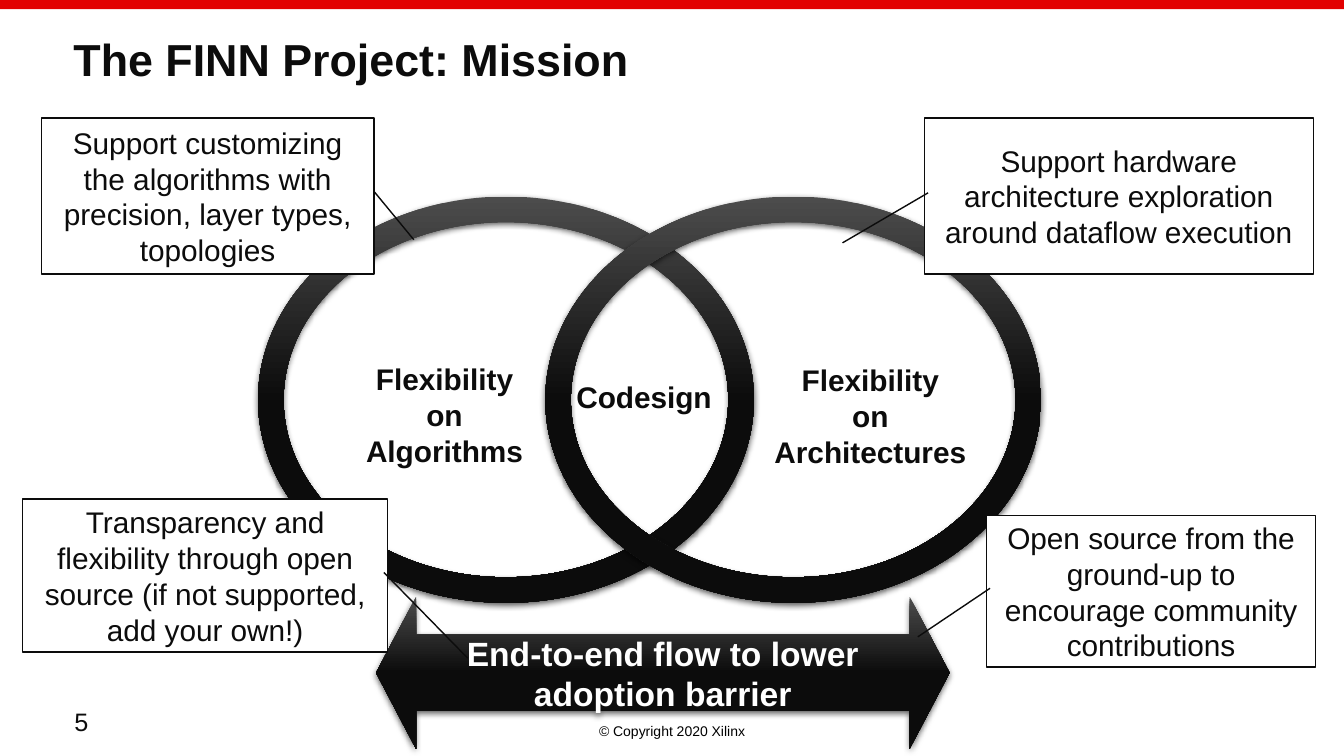
import copy
import dataclasses

import pptx
import pptx.dml.color
import pptx.enum.shapes
import pptx.enum.text
import pptx.oxml
import pptx.oxml.ns
import pptx.util

Pt = pptx.util.Pt
Preset = pptx.enum.shapes.MSO_SHAPE
Align = pptx.enum.text.PP_ALIGN
Anchor = pptx.enum.text.MSO_ANCHOR


@dataclasses.dataclass(frozen=True)
class Theme:
    """Colours, font and type sizes of the slide."""
    font: str = "Arial"
    ink: str = "0C0C0C"
    black: str = "000000"
    paper: str = "FFFFFF"
    accent: str = "E20000"
    gradient: tuple = ((0, "4C4C4C"), (0.5, "0C0C0C"), (1, "0B0B0B"))
    title: float = 32
    banner: float = 24
    body: float = 21.3
    number: float = 18
    footer: float = 10


THEME = Theme()
SHADOW = (
    f'<a:effectLst {pptx.oxml.ns.nsdecls("a")}>'
    '<a:outerShdw blurRad="57150" dist="19050" dir="5400000" algn="ctr" rotWithShape="0">'
    f'<a:srgbClr val="{THEME.black}"><a:alpha val="63000"/></a:srgbClr>'
    '</a:outerShdw></a:effectLst>'
)


def rgb(value):
    """Turn a hex string into a colour."""
    return pptx.dml.color.RGBColor.from_string(value)


def write(owner, lines, size, color=THEME.ink, bold=False, align=Align.CENTER,
          anchor=Anchor.TOP, wrap=True, spacing=None):
    """Write one paragraph per line into a shape."""
    frame = owner.text_frame
    frame.text = "\n".join(lines)
    for key, value in {"word_wrap": wrap, "vertical_anchor": anchor}.items():
        setattr(frame, key, value)
    for paragraph in frame.paragraphs:
        for key, value in {"alignment": align, "line_spacing": spacing}.items():
            setattr(paragraph, key, value)
        font = paragraph.runs[0].font
        for key, value in {"name": THEME.font, "size": Pt(size), "bold": bold}.items():
            setattr(font, key, value)
        font.color.rgb = rgb(color)


def add_text(slide, box, lines, size, **style):
    """Add a text box."""
    write(slide.shapes.add_textbox(*map(Pt, box)), lines, size, **style)


def add_preset(slide, preset, box, fill, adjustments=()):
    """Add a flat preset shape without an outline."""
    shape = slide.shapes.add_shape(preset, *map(Pt, box))
    shape.shadow.inherit = False
    shape.fill.solid()
    shape.fill.fore_color.rgb = rgb(fill)
    shape.line.fill.background()
    for index, value in enumerate(adjustments):
        shape.adjustments[index] = value
    return shape


def add_glossy(slide, preset, box, adjustments):
    """Add a shape with the dark gradient and a soft shadow."""
    glossy = add_preset(slide, preset, box, THEME.ink, adjustments)
    glossy.fill.gradient()
    glossy.fill.gradient_angle = 270
    properties = glossy._element.spPr
    stops = properties.find(".//" + pptx.oxml.ns.qn("a:gsLst"))
    stops.append(copy.deepcopy(stops[-1]))
    for stop, (position, color) in zip(glossy.fill.gradient_stops, THEME.gradient):
        stop.position = position
        stop.color.rgb = rgb(color)
    flat = properties.find(pptx.oxml.ns.qn("a:effectLst"))
    properties.replace(flat, pptx.oxml.parse_xml(SHADOW))
    return glossy


def add_frame(slide, box):
    """Place the top bar, title, page number and copyright line."""
    left, top, width, height = box
    add_preset(slide, Preset.RECTANGLE, (left, top, width, 6.5), THEME.accent)
    add_text(slide, (left, top + 512.6, width, 19.4), ["© Copyright 2020 Xilinx"],
             THEME.footer, color=THEME.black)
    add_text(slide, (left + 45.4, top + 23.8, 869, 77), ["The FINN Project: Mission"],
             THEME.title, bold=True, align=Align.LEFT, spacing=0.9)
    add_text(slide, (left + 46, top + 501, 77, 28.8), ["5"],
             THEME.number, align=Align.LEFT, anchor=Anchor.BOTTOM)


def add_banner(slide, box):
    """Place the double arrow under the rings."""
    banner = add_glossy(slide, Preset.LEFT_RIGHT_ARROW, box, (0.5, 0.263))
    write(banner, ["End-to-end flow to lower adoption barrier"], THEME.banner,
          color=THEME.paper, bold=True, anchor=Anchor.MIDDLE)


def add_venn(slide, box):
    """Place two overlapping rings and their three labels."""
    left, top, width, height = box
    ring_width = 354.2
    for ring_left in (left, left + width - ring_width):
        add_glossy(slide, Preset.DONUT, (ring_left, top, ring_width, height), (0.063,))
    labels = (
        (69.1, 113.8, 128.2, 85, ["Flexibility", "on", "Algorithms"]),
        (219.6, 126.7, 112.3, 33, ["Codesign"]),
        (360.7, 114.5, 153.4, 85, ["Flexibility", "on", "Architectures"]),
    )
    for x, y, label_width, label_height, lines in labels:
        add_text(slide, (left + x, top + y, label_width, label_height), lines,
                 THEME.body, bold=True, wrap=False)


def add_callout(slide, box, pointer, goal):
    """Place a boxed goal whose pointer leads to the part it explains."""
    callout = add_preset(slide, Preset.LINE_CALLOUT_1, box, THEME.paper, pointer)
    callout.line.color.rgb = rgb(THEME.ink)
    callout.line.width = Pt(1)
    write(callout, [goal], THEME.body, anchor=Anchor.MIDDLE)


def main():
    """Build and save the slide."""
    deck = pptx.Presentation()
    deck.slide_width, deck.slide_height = Pt(960), Pt(540)
    slide = deck.slides.add_slide(deck.slide_layouts[6])
    add_frame(slide, (0, 0, 960, 540))
    add_banner(slide, (268.6, 426.2, 409.7, 108.7))
    add_venn(slide, (184.3, 140.4, 559.4, 290.2))
    to_left = (0.48, 0.01, 0.8, -0.21)
    goals = (
        ((660.2, 84.2, 277.9, 111.6), to_left,
         "Support hardware architecture exploration around dataflow execution"),
        ((29.5, 84.2, 237.6, 111.6), (0.47, 1, 0.78, 1.12),
         "Support customizing the algorithms with precision, layer types, topologies"),
        ((704.9, 368.2, 234.7, 108.4), to_left,
         "Open source from the ground-up to encourage community contributions"),
        ((16.2, 356.4, 260.6, 109.4), (0.48, 0.99, 1.04, 1.22),
         "Transparency and flexibility through open source (if not supported, add your own!)"),
    )
    for box, pointer, goal in goals:
        add_callout(slide, box, pointer, goal)
    deck.save("out.pptx")


if __name__ == "__main__":
    main()
